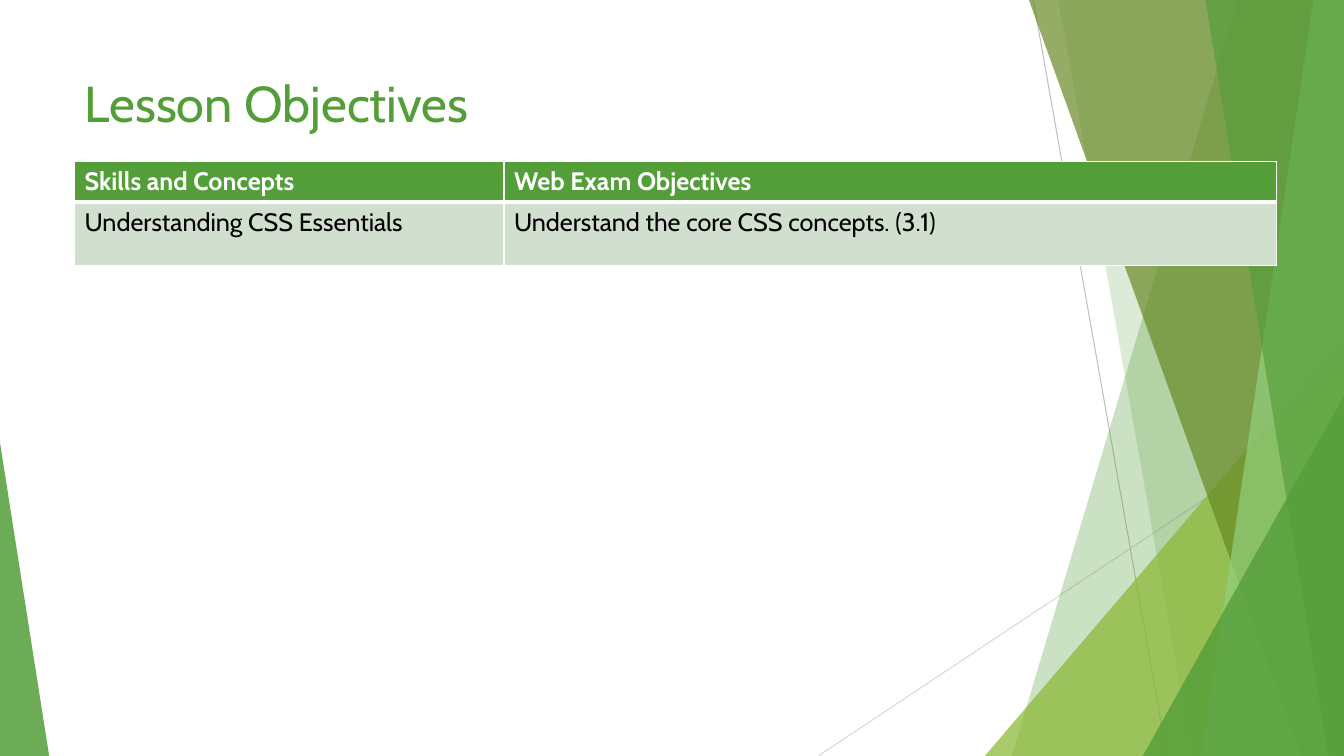
"""Builds the Lesson Objectives slide with its faceted green backdrop."""
from dataclasses import dataclass

from lxml.etree import SubElement
from pptx import Presentation
from pptx.dml.color import RGBColor
from pptx.enum.shapes import MSO_CONNECTOR, MSO_SHAPE
from pptx.enum.text import MSO_ANCHOR, MSO_AUTO_SIZE, PP_ALIGN
from pptx.oxml import parse_xml
from pptx.oxml.ns import nsdecls, qn
from pptx.util import Cm, Pt


@dataclass(frozen=True)
class Theme:
    """Colours, font and type sizes of the slide."""
    font: str = "Cabin"
    head: int = 36
    body: int = 18
    green: str = "549E39"
    lime: str = "8AB833"
    olive: str = "678A26"
    mint: str = "93D07D"
    pale: str = "D1DFCE"
    white: str = "FFFFFF"
    black: str = "000000"
    grey: str = "BFBFBF"
    light: str = "D9D9D9"


LOOK = Theme()
WIDE, HIGH = 33.87, 19.05
TITLE = "Lesson Objectives"
TITLE_BOX = (1.88, 1.7, 23.88, 3.66)
ROWS = [
    ("Skills and Concepts", "Web Exam Objectives"),
    ("Understanding CSS Essentials", "Understand the core CSS concepts. (3.1)"),
]
TABLE_AT = (1.88, 4.06)
COLS = (10.82, 19.46)
TALL = (1.02, 1.6)
RAYS = [
    (26.04, 0, 29.41, HIGH, LOOK.grey),
    (WIDE, 10.24, 20.62, HIGH, LOOK.light),
]
FACETS = [
    ("slab", (31.19, 25.5), LOOK.green, 30),
    ("slab", (26.67, 30.05), LOOK.green, 20),
    ("peak", (24.82, 8.46, WIDE, 1), LOOK.lime, 72),
    ("slab", (25.93, 32.79), LOOK.olive, 70),
    ("slab", (33.1, 30.28), LOOK.mint, 70),
    ("slab", (30.38, 33.48), LOOK.green, 65),
    ("peak", (28.8, 9.98, WIDE, 1), LOOK.green, 80),
    ("peak", (0, 11.15, 1.24, 0), LOOK.green, 85),
]


def color(code):
    return RGBColor.from_string(code)


def draw_ray(shapes, ray):
    *ends, code = ray
    line = shapes.add_connector(MSO_CONNECTOR.STRAIGHT, *map(Cm, ends))
    line.line.color.rgb = color(code)
    line.line.width = Pt(0.75)
    SubElement(line.element.spPr, qn("a:effectLst"))


def add_slab(shapes, top, foot):
    pen = shapes.build_freeform(Cm(top), 0)
    rest = [(WIDE, 0), (WIDE, HIGH), (foot, HIGH)]
    pen.add_line_segments([(Cm(x), Cm(y)) for x, y in rest], close=True)
    return pen.convert_to_shape()


def add_peak(shapes, left, top, right, tip):
    box = (left, top, right - left, HIGH - top)
    peak = shapes.add_shape(MSO_SHAPE.ISOSCELES_TRIANGLE, *map(Cm, box))
    peak.adjustments[0] = tip
    return peak


def draw_facet(shapes, kind, spot, code, alpha):
    make = {"slab": add_slab, "peak": add_peak}[kind]
    facet = make(shapes, *spot)
    facet.shadow.inherit = False
    facet.fill.solid()
    facet.fill.fore_color.rgb = color(code)
    facet.line.fill.background()
    tint = facet.element.spPr.find(".//" + qn("a:srgbClr"))
    SubElement(tint, qn("a:alpha"), val=str(alpha * 1000))


def write(frame, text, size, code, bold=False):
    para = frame.paragraphs[0]
    para.alignment = PP_ALIGN.LEFT
    run = para.add_run()
    run.text = text
    run.font.name = LOOK.font
    run.font.size = Pt(size)
    run.font.bold = bold
    run.font.color.rgb = color(code)


def set_title(title):
    title.left, title.top, title.width, title.height = map(Cm, TITLE_BOX)
    frame = title.text_frame
    frame.word_wrap = True
    frame.auto_size = MSO_AUTO_SIZE.NONE
    frame.vertical_anchor = MSO_ANCHOR.TOP
    write(frame, TITLE, LOOK.head, LOOK.green)


def edge(cell, sides):
    props = cell._tc.get_or_add_tcPr()
    for spot, (side, width) in enumerate(sides.items()):
        props.insert(spot, parse_xml(
            f'<a:ln{side} {nsdecls("a")} w="{Pt(width)}"><a:solidFill>'
            f'<a:srgbClr val="{LOOK.white}"/></a:solidFill></a:ln{side}>'))


def draw_table(shapes):
    size = (sum(COLS), sum(TALL))
    grid = shapes.add_table(len(ROWS), len(COLS), *map(Cm, TABLE_AT + size)).table
    for col, width in zip(grid.columns, COLS):
        col.width = Cm(width)
    for r, texts in enumerate(ROWS):
        grid.rows[r].height = Cm(TALL[r])
        head = r == 0
        for c, text in enumerate(texts):
            cell = grid.cell(r, c)
            cell.fill.solid()
            cell.fill.fore_color.rgb = color(LOOK.green if head else LOOK.pale)
            edge(cell, {"L": 1, "R": 1, "T": 1 if head else 3, "B": 3 if head else 1})
            ink = LOOK.white if head else LOOK.black
            write(cell.text_frame, text, LOOK.body, ink, head)


def main():
    deck = Presentation()
    deck.slide_width, deck.slide_height = Cm(WIDE), Cm(HIGH)
    slide = deck.slides.add_slide(deck.slide_layouts[5])
    set_title(slide.shapes.title)
    for ray in RAYS:
        draw_ray(slide.shapes, ray)
    for facet in FACETS:
        draw_facet(slide.shapes, *facet)
    draw_table(slide.shapes)
    deck.save("out.pptx")


if __name__ == "__main__":
    main()
